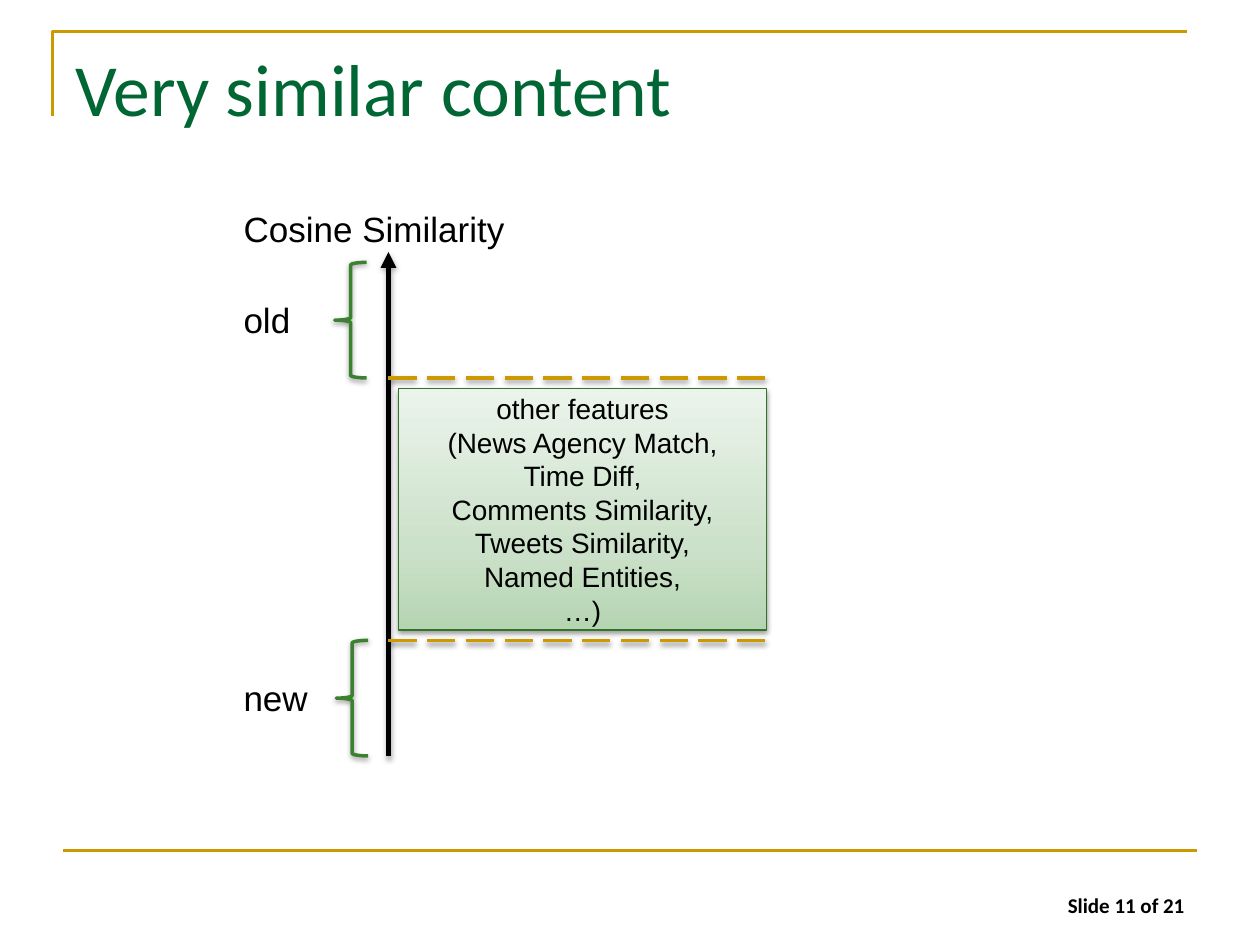
from copy import deepcopy

from pptx import Presentation
from pptx.dml.color import RGBColor
from pptx.enum.dml import MSO_LINE
from pptx.enum.shapes import MSO_CONNECTOR, MSO_SHAPE
from pptx.enum.text import MSO_ANCHOR, PP_ALIGN
from pptx.oxml import parse_xml
from pptx.oxml.ns import nsdecls, qn
from pptx.util import Cm, Pt

STRAIGHT = MSO_CONNECTOR.STRAIGHT
BRACE, PROCESS = MSO_SHAPE.LEFT_BRACE, MSO_SHAPE.FLOWCHART_PROCESS
LONG_DASH = MSO_LINE.LONG_DASH
LEFT, CENTER, RIGHT = PP_ALIGN.LEFT, PP_ALIGN.CENTER, PP_ALIGN.RIGHT
TOP, MIDDLE, BOTTOM = MSO_ANCHOR.TOP, MSO_ANCHOR.MIDDLE, MSO_ANCHOR.BOTTOM

COLORS = {
    "gold": "CC9900",
    "title": "006633",
    "black": "000000",
    "brace": "3B812F",
    "box line": "337327",
    "box dark": "B5D5B2",
    "box middle": "CCE1CA",
    "box light": "EBF4EB",
}

# Similarity axis and its thresholds, in centimetres
AXIS_X, AXIS_TOP, AXIS_BOTTOM = 7.83, 5.08, 15.24
OLD_LIMIT, NEW_LIMIT = 7.62, 12.91
BRACE_WIDTH, BRACE_HEIGHT = 0.64, 2.33
LABEL_X, LABEL_HEIGHT = 4.66, 1.11

FEATURES = [
    "other features",
    "(News Agency Match,",
    "Time Diff,",
    "Comments Similarity,",
    "Tweets Similarity,",
    "Named Entities,",
    "…)",
]


def color(name):
    return RGBColor.from_string(COLORS[name])


def write_text(shape, *lines, size=20, font="Arial", ink="black", bold=False,
               align=LEFT, anchor=TOP):
    frame = shape.text_frame
    frame.word_wrap = True
    frame.vertical_anchor = anchor
    frame.text = "\n".join(lines)
    for paragraph in frame.paragraphs:
        paragraph.alignment = align
        paragraph.font.size = Pt(size)
        paragraph.font.name = font
        paragraph.font.bold = bold
        paragraph.font.color.rgb = color(ink)


def add_label(slide, left, top, width, height, text, **text_format):
    box = slide.shapes.add_textbox(Cm(left), Cm(top), Cm(width), Cm(height))
    write_text(box, text, **text_format)


def set_line(shape, ink, width):
    shape.line.color.rgb = color(ink)
    shape.line.width = Pt(width)


def set_shadow(shape, opacity=0, distance=1.6):
    """Replace the theme shadow by a soft one below, or by none."""
    properties = shape._element.spPr
    for effects in properties.findall(qn("a:effectLst")):
        properties.remove(effects)
    shadow = (
        f'<a:outerShdw blurRad="{Pt(3.1)}" dist="{Pt(distance)}" dir="5400000" '
        f'rotWithShape="0"><a:srgbClr val="{COLORS["black"]}">'
        f'<a:alpha val="{opacity * 1000}"/></a:srgbClr></a:outerShdw>'
    ) if opacity else ""
    properties.append(parse_xml(
        f'<a:effectLst {nsdecls("a")}>{shadow}</a:effectLst>'))


def add_line(slide, start, end, ink, width, dash=None, arrow=False, **shadow):
    points = [Cm(value) for value in (*start, *end)]
    line = slide.shapes.add_connector(STRAIGHT, *points)
    set_line(line, ink, width)
    if dash:
        line.line.dash_style = dash
    if arrow:
        line.line._get_or_add_ln().append(
            parse_xml(f'<a:tailEnd {nsdecls("a")} type="triangle"/>'))
    set_shadow(line, **shadow)


def add_brace(slide, left, top):
    brace = slide.shapes.add_shape(BRACE, Cm(left), Cm(top),
                                   Cm(BRACE_WIDTH), Cm(BRACE_HEIGHT))
    brace.fill.background()
    set_line(brace, "brace", 2)
    set_shadow(brace, opacity=38)


def add_frame(slide):
    builder = slide.shapes.build_freeform(Cm(1.06), Cm(2.33))
    builder.add_line_segments([(Cm(1.06), Cm(0.64)), (Cm(23.92), Cm(0.64))],
                              close=False)
    corner = builder.convert_to_shape()
    corner.fill.background()
    set_line(corner, "gold", 1.5)
    set_shadow(corner)
    add_line(slide, (1.27, 17.15), (24.13, 17.15), "gold", 1.5)


def add_feature_box(slide):
    box = slide.shapes.add_shape(PROCESS, Cm(8.04), Cm(7.83), Cm(7.41), Cm(4.87))
    box.fill.gradient()
    box.fill.gradient_angle = 90
    stop_list = box._element.spPr.find(".//" + qn("a:gsLst"))
    stop_list.insert(1, deepcopy(stop_list[0]))
    stops = [(0, "box dark"), (0.35, "box middle"), (1, "box light")]
    for stop, (position, ink) in zip(box.fill.gradient_stops, stops):
        stop.position = position
        stop.color.rgb = color(ink)
    set_line(box, "box line", 0.75)
    set_shadow(box, opacity=38)
    write_text(box, *FEATURES, size=16, align=CENTER, anchor=MIDDLE)


def main():
    presentation = Presentation()
    presentation.slide_width, presentation.slide_height = Cm(25.4), Cm(19.05)
    slide = presentation.slides.add_slide(presentation.slide_layouts[5])

    # Frame lines, title and slide number
    add_frame(slide)
    title = slide.shapes.title
    title.left, title.top = Cm(1.27), Cm(0.76)
    title.width, title.height = Cm(22.86), Cm(1.98)
    write_text(title, "Very similar content", size=42, font="Calibri",
               ink="title", anchor=MIDDLE)
    add_label(slide, 18.2, 17.36, 5.93, 1.27, "Slide 11 of 21", size=12,
              font="Calibri", bold=True, align=RIGHT, anchor=BOTTOM)

    # Axis with its two thresholds
    add_line(slide, (AXIS_X, AXIS_BOTTOM), (AXIS_X, AXIS_TOP), "black", 3,
             arrow=True, opacity=35, distance=1.8)
    add_label(slide, LABEL_X, 4.06, 6.35, LABEL_HEIGHT, "Cosine Similarity")
    for limit in (NEW_LIMIT, OLD_LIMIT):
        add_line(slide, (AXIS_X, limit), (AXIS_X + 7.62, limit), "gold", 2,
                 dash=LONG_DASH, opacity=38)

    # Braced ranges at both ends of the axis
    ranges = [("old", 6.75, OLD_LIMIT - BRACE_HEIGHT), ("new", 6.78, NEW_LIMIT)]
    for text, left, top in ranges:
        add_brace(slide, left, top)
        add_label(slide, LABEL_X, top + 0.61, 1.88, LABEL_HEIGHT, text)

    # Features for the range between the thresholds
    add_feature_box(slide)

    presentation.save("out.pptx")


if __name__ == "__main__":
    main()
